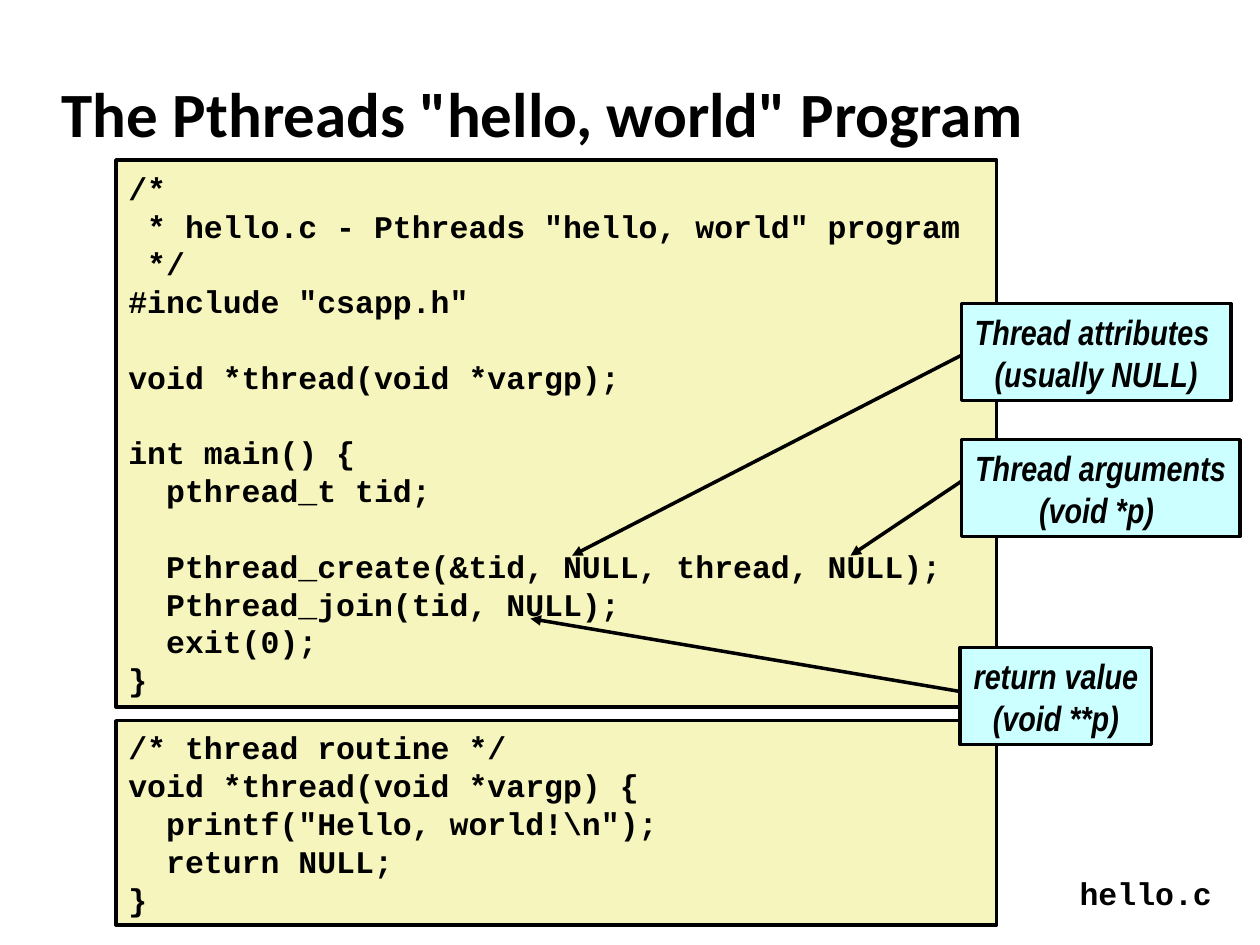
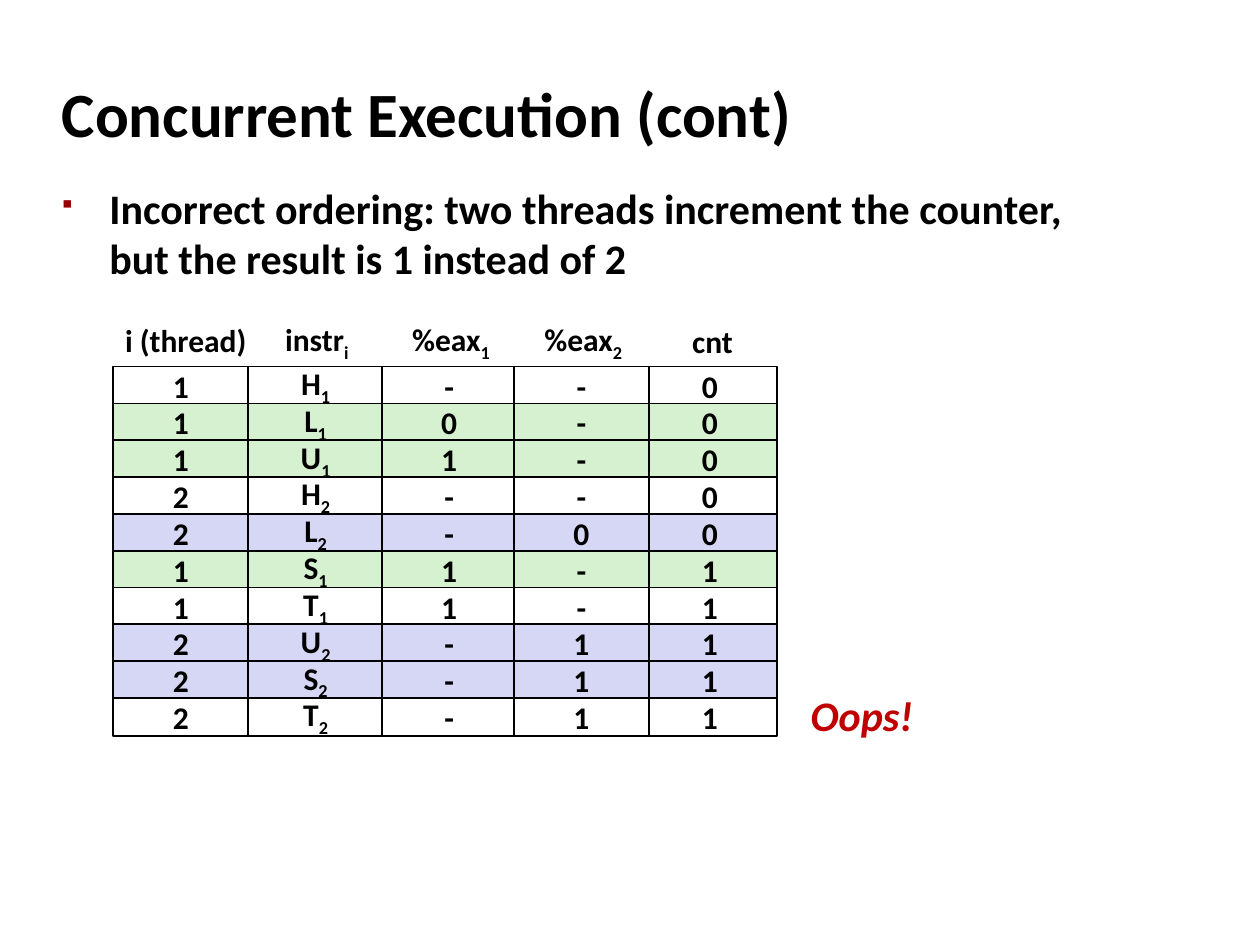
from lxml import etree
from pptx import Presentation
from pptx.dml.color import RGBColor
from pptx.enum.shapes import MSO_CONNECTOR, MSO_SHAPE
from pptx.enum.text import MSO_ANCHOR, PP_ALIGN
from pptx.oxml.ns import qn
from pptx.util import Inches, Pt

RECT = MSO_SHAPE.RECTANGLE
LINE = MSO_CONNECTOR.STRAIGHT
LEFT, CENTER = PP_ALIGN.LEFT, PP_ALIGN.CENTER
TOP, MIDDLE = MSO_ANCHOR.TOP, MSO_ANCHOR.MIDDLE

SANS, MONO, NARROW = "Calibri", "Courier New", "Arial Narrow"
BLACK, WHITE, CREAM, CYAN = "000000", "FFFFFF", "F6F5BD", "CCFFFF"
GREEN, LILAC, RED, MAROON = "D5F1CF", "D6D6F5", "C00000", "990000"

MAIN = """/*
 * hello.c - Pthreads "hello, world" program
 */
#include "csapp.h"

void *thread(void *vargp);

int main() {
  pthread_t tid;

  Pthread_create(&tid, NULL, thread, NULL);
  Pthread_join(tid, NULL);
  exit(0);
}"""

ROUTINE = r"""/* thread routine */
void *thread(void *vargp) {
  printf("Hello, world!\n");
  return NULL;
}"""

# Callout text, its box, and the arrow's start and end
NOTES = [
    ("Thread attributes \n(usually NULL)", (7.63, 2.41, 2.14, 0.77),
     (7.63, 2.82), (4.54, 4.41)),
    ("Thread arguments\n(void *p) ", (7.63, 3.49, 2.21, 0.77),
     (7.63, 3.82), (6.75, 4.41)),
    ("return value\n(void **p)", (7.62, 5.14, 1.52, 0.77),
     (7.63, 5.49), (4.21, 4.91)),
]

# Trace columns: head, its left, top and width, the cells' left, the cells
COLS = [
    ("instr", "i", (2.16, 2.51, 0.71), 1.97, "HLUHLSTUST"),
    ("i (thread)", "", (0.89, 2.5, 1.17), 0.9, "1112211222"),
    ("%eax", "1", (3.16, 2.51, 0.84), 3.03, "-01--11---"),
    ("cnt", "", (5.39, 2.51, 0.53), 5.1, "0000011111"),
    ("%eax", "2", (4.21, 2.51, 0.84), 4.08, "----0--111"),
]
THREADS = "1112211222"
FILLS = [WHITE, GREEN, GREEN, WHITE, LILAC, GREEN, WHITE, LILAC, LILAC, WHITE]
FIRST, LAST = 2.91, 5.54
CELL_W, CELL_H = 1.07, 0.3


def color(code):
    return RGBColor.from_string(code)


def box(at):
    return [Inches(n) for n in at]


def add_tag(parent, name, **attrs):
    node = etree.SubElement(parent, qn(name))
    for key, val in attrs.items():
        node.set(key, str(val))
    return node


def style(font, size, face, ink, slant):
    font.size, font.name = Pt(size), face
    font.bold, font.italic = True, slant
    font.color.rgb = color(ink)


def write(frame, text, sub="", size=18, face=SANS, ink=BLACK, slant=False,
          align=LEFT, anchor=MIDDLE, wrap=True):
    frame.word_wrap, frame.vertical_anchor = wrap, anchor
    look = (size, face, ink, slant)
    for n, line in enumerate(text.split("\n")):
        para = frame.paragraphs[0] if n == 0 else frame.add_paragraph()
        para.alignment = align
        style(para.font, *look)
        if line:
            run = para.add_run()
            run.text = line
            style(run.font, *look)
    if sub:
        run = para.add_run()
        run.text = sub
        style(run.font, *look)
        run._r.get_or_add_rPr().set("baseline", "-25000")


def add_title(prs, text):
    slide = prs.slides.add_slide(prs.slide_layouts[5])
    title = slide.shapes.title
    title.left, title.top, title.width, title.height = box((0.39, 0.48, 8.3, 0.83))
    write(title.text_frame, text, size=36)
    return slide


def add_text(slide, at, text, **form):
    shape = slide.shapes.add_textbox(*box(at))
    write(shape.text_frame, text, **form)


def add_panel(slide, at, text, fill, edge=2, **form):
    shape = slide.shapes.add_shape(RECT, *box(at))
    shape.shadow.inherit = False
    shape.fill.solid()
    shape.fill.fore_color.rgb = color(fill)
    shape.line.color.rgb = color(BLACK)
    shape.line.width = Pt(edge)
    write(shape.text_frame, text, **form)


def add_arrow(slide, start, end):
    arrow = slide.shapes.add_connector(LINE, *box(start + end))
    arrow.line.color.rgb = color(BLACK)
    arrow.line.width = Pt(2)
    add_tag(arrow.line._get_or_add_ln(), "a:tailEnd", type="triangle")
    add_tag(arrow.element.spPr, "a:effectLst")


def add_bullet(slide, at, text):
    frame = slide.shapes.add_textbox(*box(at)).text_frame
    props = frame.paragraphs[0]._p.get_or_add_pPr()
    props.set("marL", str(Inches(0.38)))
    props.set("indent", str(-Inches(0.38)))
    add_tag(add_tag(props, "a:buClr"), "a:srgbClr", val=MAROON)
    add_tag(props, "a:buSzPct", val=60000)
    add_tag(props, "a:buFont", typeface="Wingdings", charset=2)
    add_tag(props, "a:buChar", char="§")
    write(frame, text, size=24, anchor=TOP)


def add_trace(slide):
    step = (LAST - FIRST) / (len(FILLS) - 1)
    for head, sub, place, left, cells in COLS:
        add_text(slide, place + (0.4,), head, sub=sub, align=CENTER, wrap=False)
        for row, (text, fill) in enumerate(zip(cells, FILLS)):
            mark = THREADS[row] if head == "instr" else ""
            add_panel(slide, (left, FIRST + row * step, CELL_W, CELL_H), text,
                      fill, edge=1, sub=mark, align=CENTER)


def build_hello(prs):
    slide = add_title(prs, 'The Pthreads "hello, world" Program')
    # Code panels
    add_panel(slide, (0.92, 5.72, 6.99, 1.62), ROUTINE, CREAM, face=MONO)
    add_panel(slide, (0.92, 1.27, 6.99, 4.34), MAIN, CREAM, face=MONO)
    # Callouts with arrows into the code
    for text, at, start, end in NOTES:
        add_panel(slide, at, text, CYAN, size=20, face=NARROW, slant=True,
                  align=CENTER, wrap=False)
        add_arrow(slide, start, end)
    add_text(slide, (8.47, 6.89, 1.26, 0.4), "hello.c", face=MONO,
             anchor=TOP, wrap=False)


def build_trace(prs):
    slide = add_title(prs, "Concurrent Execution (cont)")
    add_bullet(slide, (0.39, 1.4, 8.64, 0.94),
               "Incorrect ordering: two threads increment the counter, "
               "but the result is 1 instead of 2")
    # Instruction trace and its verdict
    add_trace(slide)
    add_text(slide, (6.33, 5.42, 1.02, 0.5), "Oops!", size=24, ink=RED,
             slant=True, align=CENTER, wrap=False)


def main():
    prs = Presentation()
    prs.slide_width, prs.slide_height = Inches(10), Inches(7.5)
    build_hello(prs)
    build_trace(prs)
    prs.save("out.pptx")


if __name__ == "__main__":
    main()
